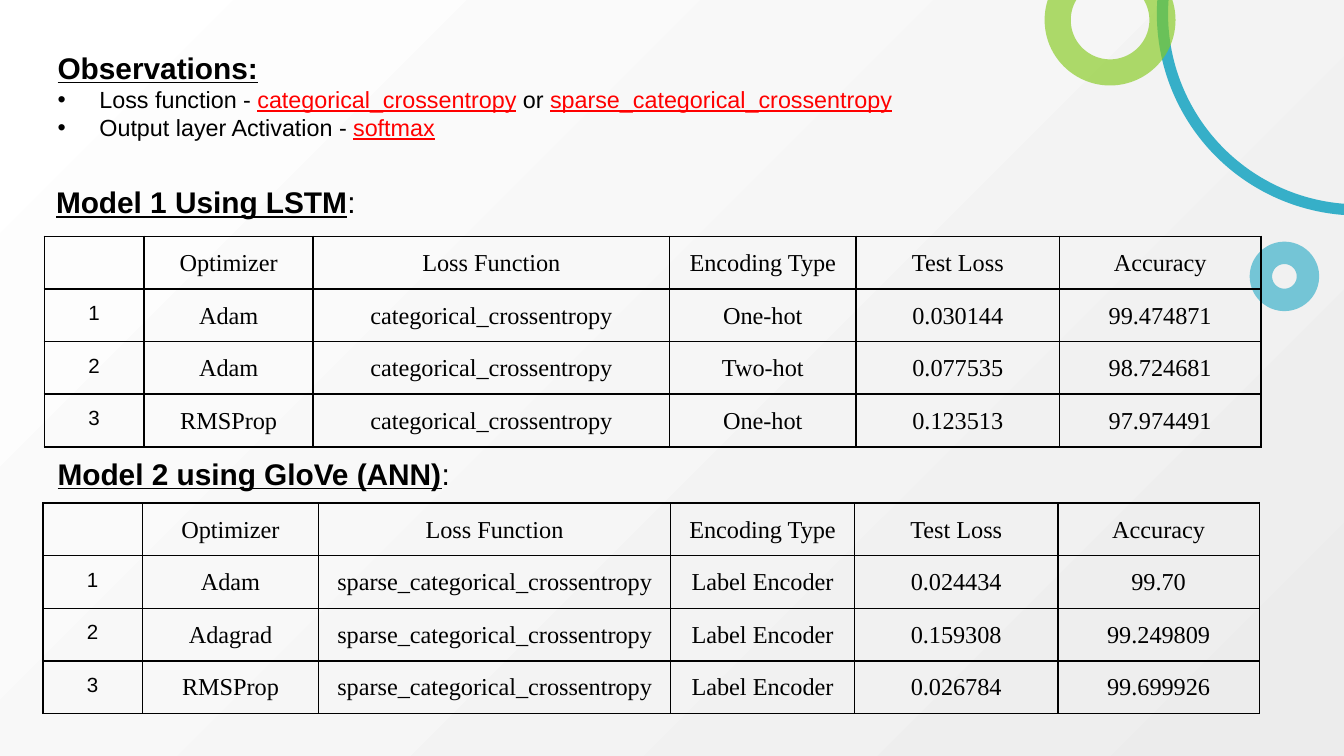
"""Build a slide comparing two text classification models."""
from dataclasses import dataclass
from typing import Any, Optional

from lxml import etree
from pptx import Presentation
from pptx.dml.color import RGBColor
from pptx.enum.shapes import MSO_SHAPE
from pptx.enum.text import MSO_AUTO_SIZE, PP_ALIGN
from pptx.oxml.ns import qn
from pptx.util import Cm, Pt

ARC, OVAL = MSO_SHAPE.ARC, MSO_SHAPE.OVAL
CENTER, LEFT = PP_ALIGN.CENTER, PP_ALIGN.LEFT
FIT_SHAPE = MSO_AUTO_SIZE.SHAPE_TO_FIT_TEXT


@dataclass(frozen=True)
class Theme:
    """Colours, fonts and type sizes."""
    ink: str = "000000"
    accent: str = "FF0000"
    teal: str = "22A8C4"
    green: str = "86CB21"
    background_start: str = "FFFFFF"
    background_end: str = "ECECEC"
    sans: str = "Arial"
    serif: str = "Times New Roman"
    heading: float = 16
    body: float = 12.5
    cell: float = 13
    index: float = 11


THEME = Theme()


@dataclass(frozen=True)
class Ring:
    """A decorative outline, placed in centimetres."""
    shape_type: Any
    left: float
    top: float
    size: float
    color: str
    weight: float
    opacity: int
    angles: tuple[float, ...] = ()


@dataclass(frozen=True)
class Piece:
    """A stretch of text, highlighted or plain."""
    text: str
    highlighted: bool = False


@dataclass(frozen=True)
class Heading:
    """An underlined heading with an optional plain ending."""
    text: str
    left: float
    top: float
    width: float
    height: float
    ending: str = ""
    bullets: tuple[tuple[Piece, ...], ...] = ()


@dataclass(frozen=True)
class ResultTable:
    """Numbered training results of one model."""
    left: float
    top: float
    widths: tuple[float, ...]
    row_height: float
    results: tuple[tuple[str, ...], ...]


HEADERS = ("", "Optimizer", "Loss Function", "Encoding Type", "Test Loss", "Accuracy")
CATEGORICAL = "categorical_crossentropy"
SPARSE = "sparse_categorical_crossentropy"
LABEL = "Label Encoder"

RINGS = (
    Ring(ARC, 21.97, -3.45, 7.42, THEME.teal, 6, 90, (56.01, 111.67)),
    Ring(OVAL, 23.83, 4.78, 0.89, THEME.teal, 12, 60),
    Ring(ARC, 19.99, -0.61, 1.98, THEME.green, 14, 65, (196.99, 128.89)),
)
HEADINGS = (
    Heading("Observations:", 0.84, 0.81, 16.51, 2.01, bullets=(
        (Piece("Loss function - "), Piece(CATEGORICAL, True), Piece(" or "), Piece(SPARSE, True)),
        (Piece("Output layer Activation - "), Piece("softmax", True)),
    )),
    Heading("Model 1 Using LSTM", 0.81, 3.35, 9.7, 0.94, ":"),
    Heading("Model 2 using GloVe (ANN)", 0.84, 8.48, 8.15, 0.94, ":"),
)
TABLES = (
    ResultTable(0.84, 4.47, (1.88, 3.2, 6.73, 3.53, 3.84, 3.81), 0.93, (
        ("Adam", CATEGORICAL, "One-hot", "0.030144", "99.474871"),
        ("Adam", CATEGORICAL, "Two-hot", "0.077535", "98.724681"),
        ("RMSProp", CATEGORICAL, "One-hot", "0.123513", "97.974491"),
    )),
    ResultTable(0.81, 9.51, (1.88, 3.33, 6.65, 3.48, 3.84, 3.81), 0.99, (
        ("Adam", SPARSE, LABEL, "0.024434", "99.70"),
        ("Adagrad", SPARSE, LABEL, "0.159308", "99.249809"),
        ("RMSProp", SPARSE, LABEL, "0.026784", "99.699926"),
    )),
)


def add_text(paragraph: Any, text: str, *, size: float, font: str = THEME.sans,
             color: str = THEME.ink, bold: bool = False, underline: bool = False,
             align: Any = LEFT, spacing: Optional[float] = None) -> None:
    """Append formatted text to a paragraph."""
    paragraph.alignment = align
    if spacing:
        paragraph.line_spacing = spacing
    if not text:
        etree.SubElement(paragraph._p, qn("a:endParaRPr"), sz=str(int(size * 100)))
        return
    run = paragraph.add_run()
    run.text = text
    run.font.size = Pt(size)
    run.font.name = font
    run.font.bold = bold
    run.font.underline = underline
    run.font.color.rgb = RGBColor.from_string(color)


def paint_background(slide: Any) -> None:
    """Fill the background with a gradient spreading from the top left corner."""
    fill = slide.background.fill
    fill.gradient()
    for stop, color in zip(fill.gradient_stops, (THEME.background_start, THEME.background_end)):
        stop.color.rgb = RGBColor.from_string(color)
    gradient = slide.element.find(".//" + qn("a:gradFill"))
    gradient.remove(gradient.find(qn("a:lin")))
    circle = etree.SubElement(gradient, qn("a:path"), path="circle")
    etree.SubElement(circle, qn("a:fillToRect"), r="100000", b="100000")


def add_ring(slide: Any, ring: Ring) -> None:
    """Draw a translucent ring or arc."""
    shape = slide.shapes.add_shape(
        ring.shape_type, Cm(ring.left), Cm(ring.top), Cm(ring.size), Cm(ring.size))
    shape.shadow.inherit = False
    shape.fill.background()
    for index, angle in enumerate(ring.angles):
        shape.adjustments[index] = angle
    shape.line.width = Pt(ring.weight)
    shape.line.color.rgb = RGBColor.from_string(ring.color)
    color = shape.line._ln.find(".//" + qn("a:srgbClr"))
    etree.SubElement(color, qn("a:alpha"), val=str(ring.opacity * 1000))


def add_heading(slide: Any, heading: Heading) -> None:
    """Place a heading and its bullet points."""
    box = slide.shapes.add_textbox(
        Cm(heading.left), Cm(heading.top), Cm(heading.width), Cm(heading.height))
    frame = box.text_frame
    frame.word_wrap = True
    frame.auto_size = FIT_SHAPE
    title = frame.paragraphs[0]
    add_text(title, heading.text, size=THEME.heading, bold=True, underline=True)
    if heading.ending:
        add_text(title, heading.ending, size=THEME.heading)
    for pieces in heading.bullets:
        paragraph = frame.add_paragraph()
        for piece in pieces:
            add_text(paragraph, piece.text, size=THEME.body, underline=piece.highlighted,
                     color=THEME.accent if piece.highlighted else THEME.ink)
        properties = paragraph._p.get_or_add_pPr()
        properties.set("marL", str(Cm(0.79)))
        properties.set("indent", str(Cm(-0.79)))
        bullet_color = etree.SubElement(properties, qn("a:buClr"))
        etree.SubElement(bullet_color, qn("a:srgbClr"), val=THEME.ink)
        etree.SubElement(properties, qn("a:buFont"), typeface=THEME.sans)
        etree.SubElement(properties, qn("a:buChar"), char="•")


def format_cell(cell: Any, text: str, font: str, size: float) -> None:
    """Write a cell with a thin border and no fill."""
    cell.margin_left = cell.margin_right = cell.margin_top = cell.margin_bottom = Cm(0.18)
    properties = cell._tc.get_or_add_tcPr()
    for side in ("lnL", "lnR", "lnT", "lnB"):
        line = etree.SubElement(properties, qn(f"a:{side}"), w=str(Pt(1)))
        solid = etree.SubElement(line, qn("a:solidFill"))
        etree.SubElement(solid, qn("a:srgbClr"), val=THEME.ink)
    cell.fill.background()
    add_text(cell.text_frame.paragraphs[0], text, size=size, font=font,
             align=CENTER, spacing=1.15)


def add_results(slide: Any, content: ResultTable) -> None:
    """Draw a table of numbered results under the shared headers."""
    rows = [HEADERS] + [(str(number), *result) for number, result in enumerate(content.results, 1)]
    table = slide.shapes.add_table(
        len(rows), len(HEADERS), Cm(content.left), Cm(content.top),
        Cm(sum(content.widths)), Cm(content.row_height * len(rows))).table
    table.first_row = table.horz_banding = False
    for column, width in zip(table.columns, content.widths):
        column.width = Cm(width)
    for row_index, row in enumerate(rows):
        table.rows[row_index].height = Cm(content.row_height)
        for column_index, text in enumerate(row):
            font, size = (THEME.serif, THEME.cell) if column_index else (THEME.sans, THEME.index)
            format_cell(table.cell(row_index, column_index), text, font, size)


def main() -> None:
    """Build and save the presentation."""
    presentation = Presentation()
    presentation.slide_width, presentation.slide_height = Cm(25.4), Cm(14.29)
    slide = presentation.slides.add_slide(presentation.slide_layouts[6])
    paint_background(slide)
    for ring in RINGS:
        add_ring(slide, ring)
    for heading in HEADINGS:
        add_heading(slide, heading)
    for content in TABLES:
        add_results(slide, content)
    presentation.save("out.pptx")


if __name__ == "__main__":
    main()
